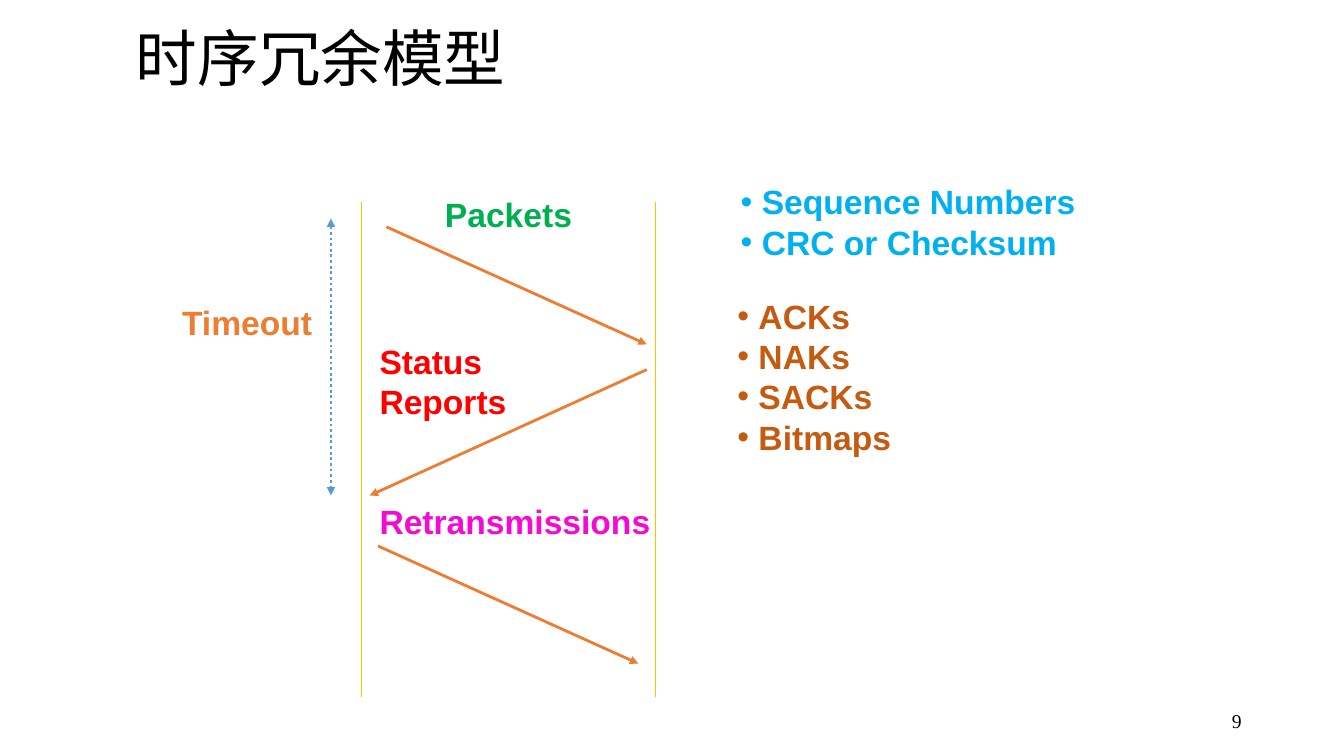
from lxml.etree import SubElement
from pptx import Presentation
from pptx.dml.color import RGBColor
from pptx.enum.dml import MSO_LINE
from pptx.enum.shapes import MSO_CONNECTOR
from pptx.enum.text import MSO_ANCHOR, PP_ALIGN
from pptx.oxml.ns import qn
from pptx.util import Inches, Pt

BLACK = RGBColor(0x00, 0x00, 0x00)
GOLD = RGBColor(0xFF, 0xC0, 0x00)
ORANGE = RGBColor(0xED, 0x7D, 0x31)
BLUE = RGBColor(0x5B, 0x9B, 0xD5)
GREEN = RGBColor(0x00, 0xB0, 0x50)
RED = RGBColor(0xFF, 0x00, 0x00)
MAGENTA = RGBColor(0xF4, 0x0A, 0xD3)
SKY = RGBColor(0x00, 0xB0, 0xF0)
BROWN = RGBColor(0xC5, 0x5A, 0x11)

COLUMNS, ROWS = 160, 90
CELL = Inches(1) / 12
BULLET_INDENT = Inches(0.21)


def cells(count):
    return round(count * CELL)


def add_text(slide, box, lines, color, size=24, font="Arial", bold=True,
             wrap=False, anchor=MSO_ANCHOR.TOP, align=PP_ALIGN.LEFT,
             spacing=1.0, bullets=False):
    """Write one paragraph per line into a box given in grid cells."""
    frame = slide.shapes.add_textbox(*map(cells, box)).text_frame
    frame.word_wrap = wrap
    frame.vertical_anchor = anchor
    for index, line in enumerate(lines):
        para = frame.add_paragraph() if index else frame.paragraphs[0]
        if bullets:
            add_bullet(para)
        para.alignment = align
        para.line_spacing = spacing
        span = para.add_run()
        span.text = line
        span.font.size = Pt(size)
        span.font.bold = bold
        span.font.name = font
        span.font.color.rgb = color
        SubElement(span.font._element, qn("a:ea"), typeface=font)


def add_bullet(para):
    properties = para._p.get_or_add_pPr()
    properties.set("marL", str(BULLET_INDENT))
    properties.set("indent", str(-BULLET_INDENT))
    SubElement(properties, qn("a:buFont"), typeface="Arial")
    SubElement(properties, qn("a:buChar"), char="•")


def add_line(slide, start, end, color, width, dash=None, arrows=()):
    """Draw a line between two grid points; arrows names its pointed ends."""
    line = slide.shapes.add_connector(
        MSO_CONNECTOR.STRAIGHT, *map(cells, (*start, *end)))
    line.line.color.rgb = color
    line.line.width = Pt(width)
    if dash:
        line.line.dash_style = dash
    for arrow in arrows:
        SubElement(line.line._get_or_add_ln(), qn(f"a:{arrow}"), type="triangle")
    SubElement(line._element.spPr, qn("a:effectLst"))


def add_title(slide, box):
    add_text(slide, box, ["时序冗余模型"], BLACK, size=44,
             font="Noto Sans CJK SC", bold=False, wrap=True,
             anchor=MSO_ANCHOR.MIDDLE, spacing=0.9)


def add_page_number(slide, box):
    add_text(slide, box, ["9"], BLACK, size=14, font="Times New Roman",
             bold=False, wrap=True, anchor=MSO_ANCHOR.MIDDLE,
             align=PP_ALIGN.RIGHT)


def add_exchange(slide, box):
    """Sender and receiver lifelines, with the messages between them."""
    left, top, width, height = box
    for x in (left, left + width):
        add_line(slide, (x, top), (x, top + height), GOLD, 0.5)

    messages = [((3, 3), (34, 17)), ((34, 20), (1, 35)), ((2, 41), (33, 55))]
    for (x1, y1), (x2, y2) in messages:
        add_line(slide, (left + x1, top + y1), (left + x2, top + y2),
                 ORANGE, 2, arrows=["tailEnd"])

    labels = [("Packets", 8.8, -1.5, 17.5, GREEN),
              ("Status Reports", 1, 16, 30.8, RED),
              ("Retransmissions", 1, 35, 34.7, MAGENTA)]
    for text, x, y, label_width, color in labels:
        add_text(slide, (left + x, top + y, label_width, 6), [text], color)


def add_timeout(slide, box):
    """Label on the left and a dotted two-way arrow on the right edge."""
    left, top, width, height = box
    right = left + width
    add_line(slide, (right, top), (right, top + height), BLUE, 2,
             dash=MSO_LINE.ROUND_DOT, arrows=["headEnd", "tailEnd"])
    add_text(slide, (left, top + 9.3, 18, 6), ["Timeout"], ORANGE)


def add_mechanisms(slide, box):
    """Lists of the techniques that serve packets and status reports."""
    left, top, width, height = box
    add_text(slide, (left + 0.4, top, width, 11),
             ["Sequence Numbers", "CRC or Checksum"], SKY, bullets=True)
    add_text(slide, (left, top + 13.6, width / 2, height - 13.6),
             ["ACKs", "NAKs", "SACKs", "Bitmaps"], BROWN, bullets=True)


def main():
    deck = Presentation()
    deck.slide_width, deck.slide_height = cells(COLUMNS), cells(ROWS)
    slide = deck.slides.add_slide(deck.slide_layouts[6])
    add_title(slide, (15, 1.8, 109, 11))
    add_page_number(slide, (113, 83.4, 36, 4.8))
    add_exchange(slide, (43, 24, 35, 59))
    add_timeout(slide, (20.5, 26, 18.9, 33))
    add_mechanisms(slide, (86.6, 21, 42.7, 34.2))
    deck.save("out.pptx")


if __name__ == "__main__":
    main()
